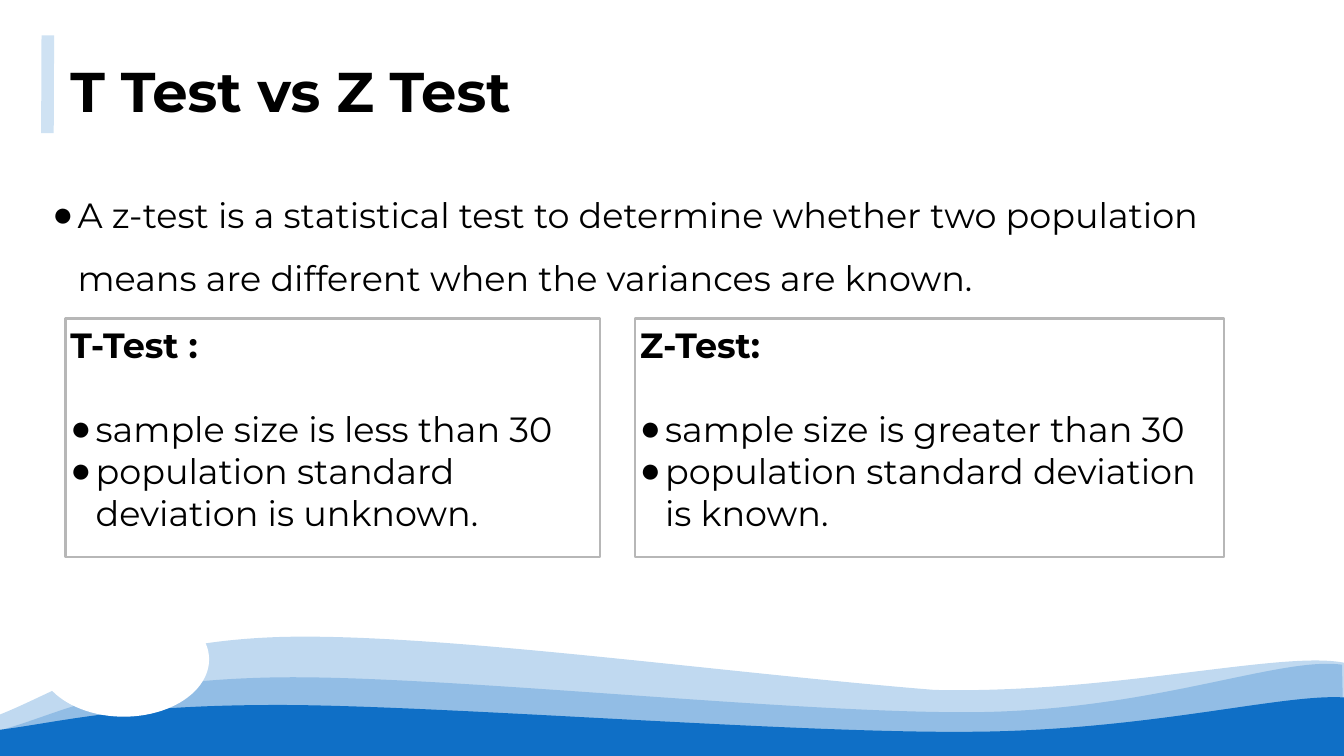
from lxml.etree import SubElement
from pptx import Presentation
from pptx.dml.color import RGBColor
from pptx.enum.shapes import MSO_CONNECTOR, MSO_SHAPE
from pptx.enum.text import MSO_ANCHOR, PP_ALIGN
from pptx.oxml.ns import qn
from pptx.util import Cm, Pt

BLACK = RGBColor(0x00, 0x00, 0x00)
WHITE = RGBColor(0xFF, 0xFF, 0xFF)
WAVE_BLUE = RGBColor(0x0F, 0x6F, 0xC6)
ACCENT_BLUE = RGBColor(0xCF, 0xE2, 0xF3)
BORDER_GREY = RGBColor(0xB7, 0xB7, 0xB7)
FONT = "Montserrat"
BULLET_FONT = "Arial"
SLIDE_WIDTH, SLIDE_HEIGHT = 67.74, 38.1
INSET = Cm(0.25)
FRAME_FORMAT = {
    "word_wrap": True,
    "vertical_anchor": MSO_ANCHOR.TOP,
    "margin_left": INSET,
    "margin_top": INSET,
    "margin_right": INSET,
    "margin_bottom": INSET,
}
TITLE = {"size": Pt(80), "bold": True}
HEADING = {"size": Pt(50), "bold": True}
BODY = {"size": Pt(50), "bold": False}
WAVES = [
    (26, (-0.08, 3.94), [
        ((3.1, 2.7), (6.35, 0.23), (14.2, 0)),
        ((22.07, -0.2), (36.12, 1.78), (47.09, 2.67)),
        ((56, 2.88), (64.59, 0.67), (67.74, 1.3))]),
    (26, (0.03, 4.7), [
        ((3.2, 3.82), (5.66, 2.19), (13.84, 2.04)),
        ((22.05, 1.89), (40.23, 3.89), (49.2, 3.79)),
        ((58.17, 3.69), (64.49, 0.97), (67.64, 1.4))]),
    (100, (0, 4.68), [
        ((3.18, 4.27), (6.15, 3.41), (14.3, 3.43)),
        ((22.45, 3.46), (39.95, 4.86), (48.87, 4.78)),
        ((57.86, 4.73), (64.59, 2.85), (67.74, 3.05))]),
]


def apply_format(target, values):
    """Set every attribute in values on the target."""
    for name, value in values.items():
        setattr(target, name, value)


def fill_plain(shape, color, opacity=100):
    """Fill a shape with one colour and no outline or shadow."""
    shape.shadow.inherit = False
    shape.fill.solid()
    shape.fill.fore_color.rgb = color
    shape.line.fill.background()
    if opacity < 100:
        color_element = shape._element.spPr.find(".//" + qn("a:srgbClr"))
        SubElement(color_element, qn("a:alpha"), val=str(opacity * 1000))


def write_paragraph(paragraph, text, font_format, bullet=False, **spacing):
    """Write one paragraph, with a hanging bullet if asked."""
    apply_format(paragraph, {"alignment": PP_ALIGN.LEFT, **spacing})
    run = paragraph.add_run()
    run.text = text
    apply_format(run.font, {"name": FONT, **font_format})
    run.font.color.rgb = BLACK
    if bullet:
        properties = paragraph._p.get_or_add_pPr()
        properties.set("marL", str(Cm(1.27)))
        properties.set("indent", str(Cm(-1.52)))
        bullet_color = SubElement(properties, qn("a:buClr"))
        SubElement(bullet_color, qn("a:srgbClr"), val=str(BLACK))
        SubElement(properties, qn("a:buFont"), typeface=BULLET_FONT)
        SubElement(properties, qn("a:buChar"), char="●")


def add_wave(slide, left, top, width, height, start, curves):
    """Draw a filled wave whose upper edge is a chain of Bézier curves."""
    outline = [start, *(curve[-1] for curve in curves), (width, height), (0, height)]
    points = [(Cm(left + x), Cm(top + y)) for x, y in outline]
    builder = slide.shapes.build_freeform(*points[0])
    builder.add_line_segments(points[1:], close=True)
    wave = builder.convert_to_shape()
    segments = list(wave._element.iter(qn("a:lnTo")))
    for segment, curve in zip(segments, curves):
        segment.tag = qn("a:cubicBezTo")
        segment.remove(segment[0])
        for x, y in curve:
            SubElement(segment, qn("a:pt"), x=str(Cm(left + x) - wave.left),
                       y=str(Cm(top + y) - wave.top))
    return wave


def add_waves(slide, left, top, width, height):
    """Draw the layered waves and the white oval along the bottom."""
    for opacity, start, curves in WAVES:
        wave = add_wave(slide, left, top, width, height, start, curves)
        fill_plain(wave, WAVE_BLUE, opacity)
    oval = slide.shapes.add_shape(
        MSO_SHAPE.OVAL, Cm(left + 1.93), Cm(top - 1.75), Cm(8.61), Cm(5.77))
    fill_plain(oval, WHITE)


def add_text(slide, left, top, width, height, text, font_format, **options):
    """Place a text box with one paragraph."""
    box = slide.shapes.add_textbox(Cm(left), Cm(top), Cm(width), Cm(height))
    apply_format(box.text_frame, FRAME_FORMAT)
    write_paragraph(box.text_frame.paragraphs[0], text, font_format, **options)


def add_title(slide, left, top, width, height, text):
    """Place the title with its accent bar on the left."""
    add_text(slide, left + 0.91, top + 0.84, width - 0.91, 3.25, text, TITLE)
    bar = slide.shapes.add_connector(
        MSO_CONNECTOR.STRAIGHT, Cm(left + 0.02), Cm(top), Cm(left), Cm(top + height))
    bar.line.color.rgb = ACCENT_BLUE
    bar.line.width = Pt(18)
    SubElement(bar._element.spPr, qn("a:effectLst"))


def add_test_card(slide, left, top, width, height, heading, points):
    """Draw an outlined card with a heading and bullet points."""
    card = slide.shapes.add_shape(
        MSO_SHAPE.RECTANGLE, Cm(left), Cm(top), Cm(width), Cm(height))
    card.shadow.inherit = False
    card.fill.background()
    card.line.color.rgb = BORDER_GREY
    card.line.width = Pt(3)
    frame = card.text_frame
    apply_format(frame, FRAME_FORMAT)
    write_paragraph(frame.paragraphs[0], heading, HEADING, space_after=Pt(60))
    for point in points:
        write_paragraph(frame.add_paragraph(), point, BODY, bullet=True)


def main():
    """Build and save the slide."""
    presentation = Presentation()
    apply_format(presentation, {
        "slide_width": Cm(SLIDE_WIDTH), "slide_height": Cm(SLIDE_HEIGHT)})
    slide = presentation.slides.add_slide(presentation.slide_layouts[6])
    add_waves(slide, 0, SLIDE_HEIGHT - 6, SLIDE_WIDTH, 6)
    add_title(slide, 2.39, 1.78, 45.72, 4.93, "T Test vs Z Test")
    add_text(
        slide, 2.39, 8.43, 61.8, 6.3,
        "A z-test is a statistical test to determine whether two population "
        "means are different when the variances are known.",
        BODY, bullet=True, line_spacing=1.5)
    cards = [
        (3.3, 26.95, "T-Test :", "less", "unknown"),
        (32, 29.69, "Z-Test:", "greater", "known"),
    ]
    for left, width, heading, comparison, knowledge in cards:
        add_test_card(slide, left, 16.05, width, 12.04, heading, [
            f"sample size is {comparison} than 30",
            f"population standard deviation is {knowledge}."])
    presentation.save("out.pptx")


if __name__ == "__main__":
    main()
